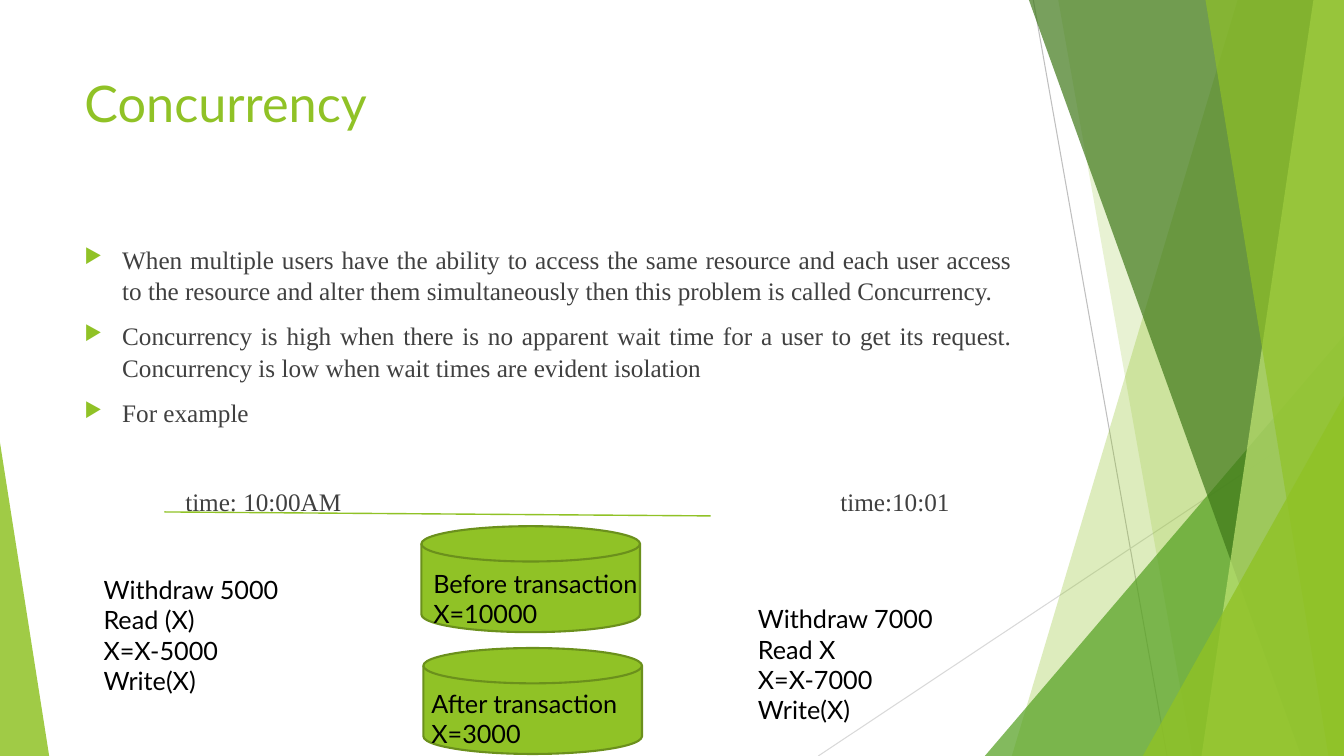
from dataclasses import dataclass

from lxml.etree import SubElement
from pptx import Presentation
from pptx.dml.color import RGBColor
from pptx.enum.shapes import MSO_CONNECTOR as Link, MSO_SHAPE as Form
from pptx.enum.text import PP_ALIGN as Align
from pptx.oxml.ns import qn
from pptx.util import Cm, Pt

WHITE = RGBColor(0xFF, 0xFF, 0xFF)
BLACK = RGBColor(0x00, 0x00, 0x00)
INK = RGBColor(0x40, 0x40, 0x40)
LIME = RGBColor(0x90, 0xC2, 0x26)
OLIVE = RGBColor(0x6B, 0x90, 0x1C)
PALE = RGBColor(0xC0, 0xE4, 0x74)
GREEN = RGBColor(0x54, 0xA0, 0x21)
DEEP = RGBColor(0x3F, 0x78, 0x19)
GREY = RGBColor(0xBF, 0xBF, 0xBF)
MIST = RGBColor(0xD9, 0xD9, 0xD9)

WIDE, HIGH = 33.87, 19.05
LATO, TIMES = "Lato", "Times New Roman"


@dataclass
class Rule:
    x1: float
    y1: float
    x2: float
    y2: float
    color: RGBColor
    weight: float


@dataclass
class Band:
    top: float
    base: float
    color: RGBColor
    alpha: int


@dataclass
class Wedge:
    left: float
    width: float
    height: float
    peak: int
    color: RGBColor
    alpha: int


@dataclass
class Disk:
    left: float
    top: float


@dataclass
class Label:
    left: float
    top: float
    width: float
    height: float
    text: str
    size: int = 18
    color: RGBColor = BLACK
    font: str = LATO


RAYS = [
    Rule(26.04, 0, 29.41, HIGH, GREY, 0.75),
    Rule(WIDE, 10.24, 20.62, HIGH, MIST, 0.75),
]
SHARDS = [
    Band(31.19, 25.5, LIME, 30),
    Band(26.67, 30.05, LIME, 20),
    Wedge(24.82, 9.05, 10.59, 1, GREEN, 72),
    Band(25.93, 32.79, DEEP, 70),
    Band(33.1, 30.28, PALE, 70),
    Band(30.38, 33.48, LIME, 65),
    Wedge(28.8, 5.07, 9.07, 1, LIME, 80),
    Wedge(0, 1.24, 7.9, 0, LIME, 85),
]
TITLE = Label(1.88, 1.7, 23.88, 3.66, "Concurrency", 36, LIME)
BODY = Label(1.88, 5.99, 23.88, 10.77, "\n".join([
    "When multiple users have the ability to access the same resource and each "
    "user access to the resource and alter them simultaneously then this problem "
    "is called Concurrency.",
    "Concurrency is high when there is no apparent wait time for a user to get its "
    "request. Concurrency is low when wait times are evident isolation",
    "For example",
    "\ttime: 10:00AM\ttime:10:01",
]), 18, INK, TIMES)
TABS = [2.54, 19.05]
AXIS = Rule(4.14, 12.9, 17.91, 13.0, LIME, 1)
STAGE = [
    Disk(10.62, 13.26),
    Label(10.67, 14.2, 6.05, 1.8, "Before transaction X=10000"),
    Label(2.36, 14.35, 6.05, 3.33, "Withdraw 5000\nRead (X)\nX=X-5000\nWrite(X)"),
    Label(18.85, 15.09, 6.05, 3.33, "Withdraw 7000\nRead X\nX=X-7000\nWrite(X)"),
    Disk(10.67, 16.33),
    Label(10.62, 17.22, 6.05, 1.8, "After transaction X=3000"),
]


def paint(shape, color: RGBColor, alpha: int = 100) -> None:
    shape.shadow.inherit = False
    shape.fill.solid()
    shape.fill.fore_color.rgb = color
    shape.line.fill.background()
    if alpha < 100:
        tint = shape.fill._xPr.find(qn("a:solidFill"))[0]
        SubElement(tint, qn("a:alpha"), val=str(alpha * 1000))


def add_rule(shapes, rule: Rule) -> None:
    line = shapes.add_connector(
        Link.STRAIGHT, Cm(rule.x1), Cm(rule.y1), Cm(rule.x2), Cm(rule.y2))
    line.line.color.rgb = rule.color
    line.line.width = Pt(rule.weight)
    SubElement(line._element.spPr, qn("a:effectLst"))


def add_band(shapes, band: Band) -> None:
    pen = shapes.build_freeform(Cm(band.top), 0)
    pen.add_line_segments([
        (Cm(WIDE), 0), (Cm(WIDE), Cm(HIGH)), (Cm(band.base), Cm(HIGH))])
    paint(pen.convert_to_shape(), band.color, band.alpha)


def add_wedge(shapes, wedge: Wedge) -> None:
    shape = shapes.add_shape(
        Form.ISOSCELES_TRIANGLE, Cm(wedge.left), Cm(HIGH - wedge.height),
        Cm(wedge.width), Cm(wedge.height))
    shape.adjustments[0] = wedge.peak
    paint(shape, wedge.color, wedge.alpha)


def add_disk(shapes, disk: Disk) -> None:
    shape = shapes.add_shape(
        Form.FLOWCHART_MAGNETIC_DISK, Cm(disk.left), Cm(disk.top), Cm(5.51), Cm(2.67))
    paint(shape, LIME)
    shape.line.color.rgb = OLIVE
    shape.line.width = Pt(1.5)


def add_label(shapes, label: Label):
    box = shapes.add_textbox(
        Cm(label.left), Cm(label.top), Cm(label.width), Cm(label.height))
    frame = box.text_frame
    frame.word_wrap = True
    frame.text = label.text
    for para in frame.paragraphs:
        for run in para.runs:
            run.font.size = Pt(label.size)
            run.font.name = label.font
            run.font.color.rgb = label.color
    return frame


def add_bullet(para) -> None:
    props = para._p.get_or_add_pPr()
    props.set("marL", str(Cm(0.95)))
    props.set("indent", str(-Cm(0.95)))
    tint = SubElement(props, qn("a:buClr"))
    SubElement(tint, qn("a:srgbClr"), val=str(LIME))
    SubElement(props, qn("a:buSzPct"), val="80000")
    SubElement(props, qn("a:buChar"), char="▶")


def add_tabs(para, stops: list[float]) -> None:
    tabs = SubElement(para._p.get_or_add_pPr(), qn("a:tabLst"))
    for stop in stops:
        SubElement(tabs, qn("a:tab"), pos=str(Cm(stop)), algn="l")


def add_body(shapes) -> None:
    paras = add_label(shapes, BODY).paragraphs
    *points, times = paras
    for para in points:
        add_bullet(para)
        para.alignment = Align.JUSTIFY
    add_tabs(times, TABS)
    for para in paras:
        para.line_spacing = 1.04
    for para in points[1:]:
        para.space_before = Pt(10)
    times.space_before = Pt(41)


DRAW = {Band: add_band, Wedge: add_wedge, Disk: add_disk, Label: add_label, Rule: add_rule}


def main() -> None:
    deck = Presentation()
    deck.slide_width, deck.slide_height = Cm(WIDE), Cm(HIGH)
    slide = deck.slides.add_slide(deck.slide_layouts[6])
    slide.background.fill.solid()
    slide.background.fill.fore_color.rgb = WHITE
    shapes = slide.shapes
    for part in [*RAYS, *SHARDS, TITLE]:
        DRAW[type(part)](shapes, part)
    add_body(shapes)
    for part in [AXIS, *STAGE]:
        DRAW[type(part)](shapes, part)
    deck.save("out.pptx")


if __name__ == "__main__":
    main()
